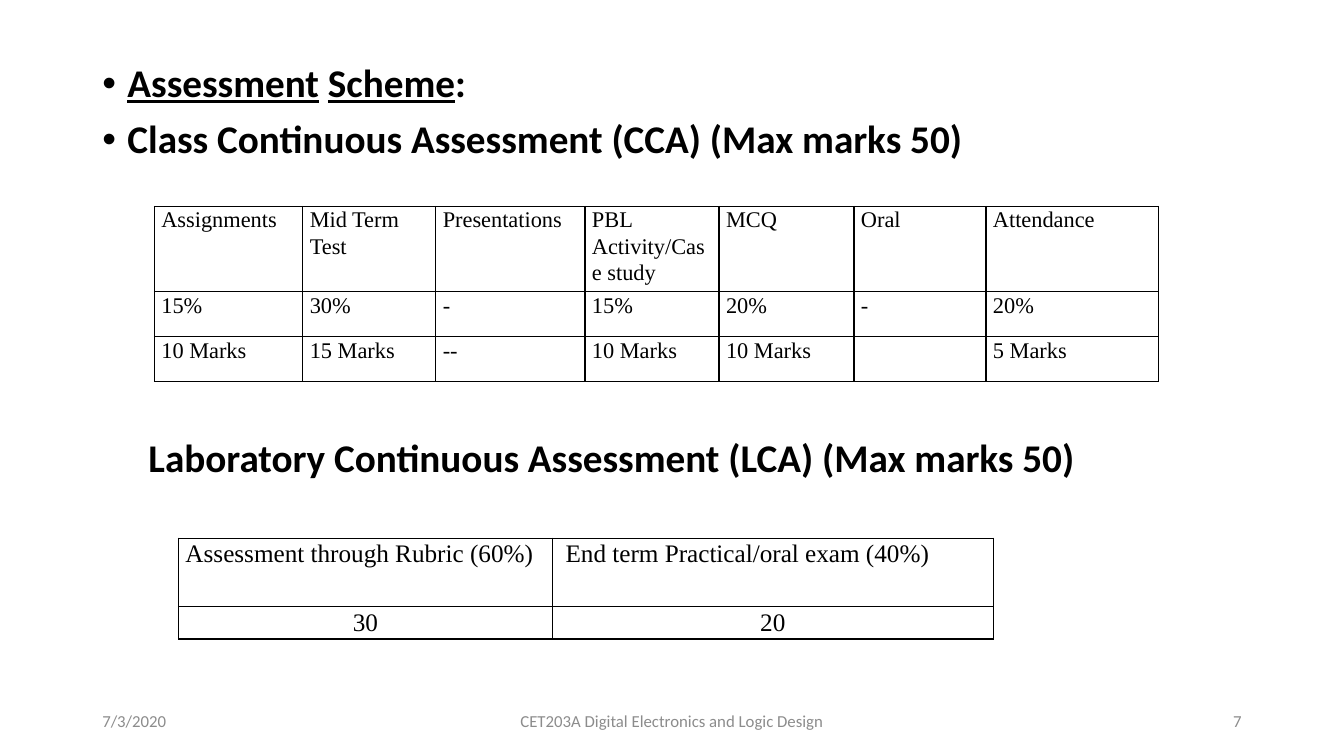
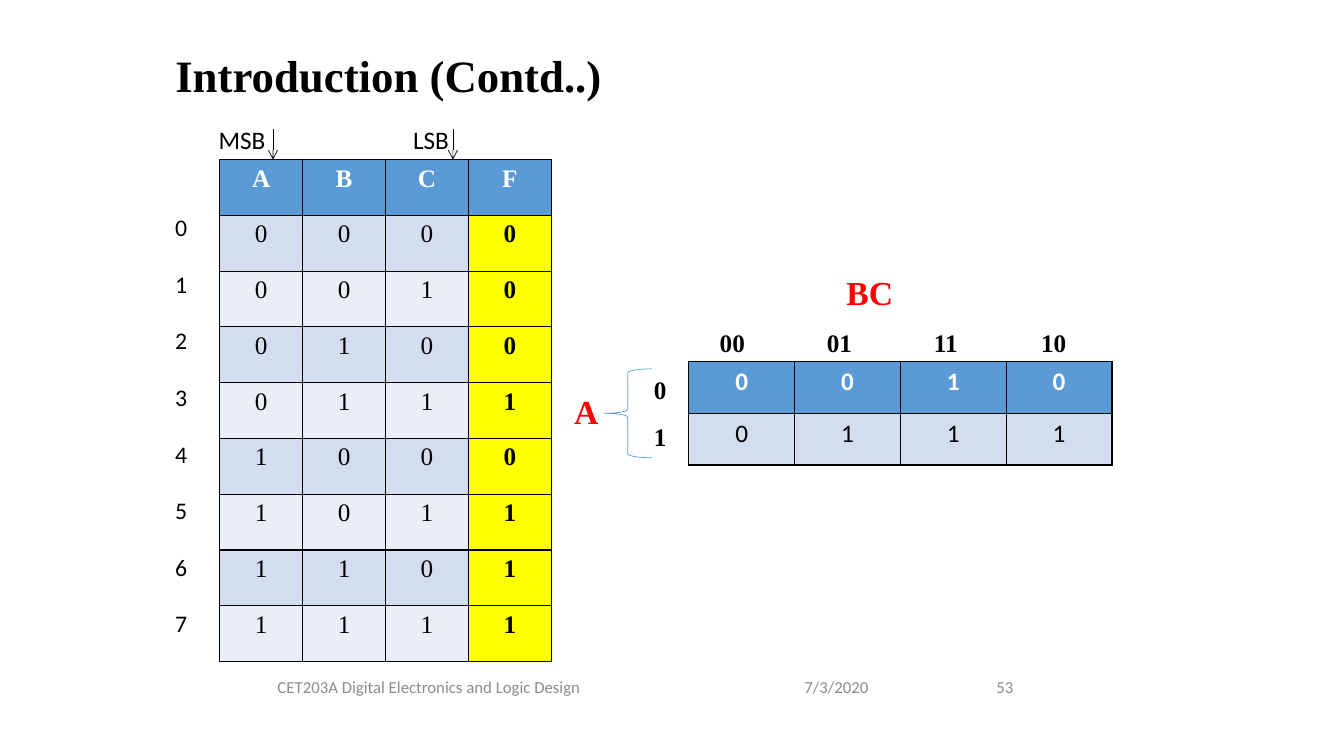
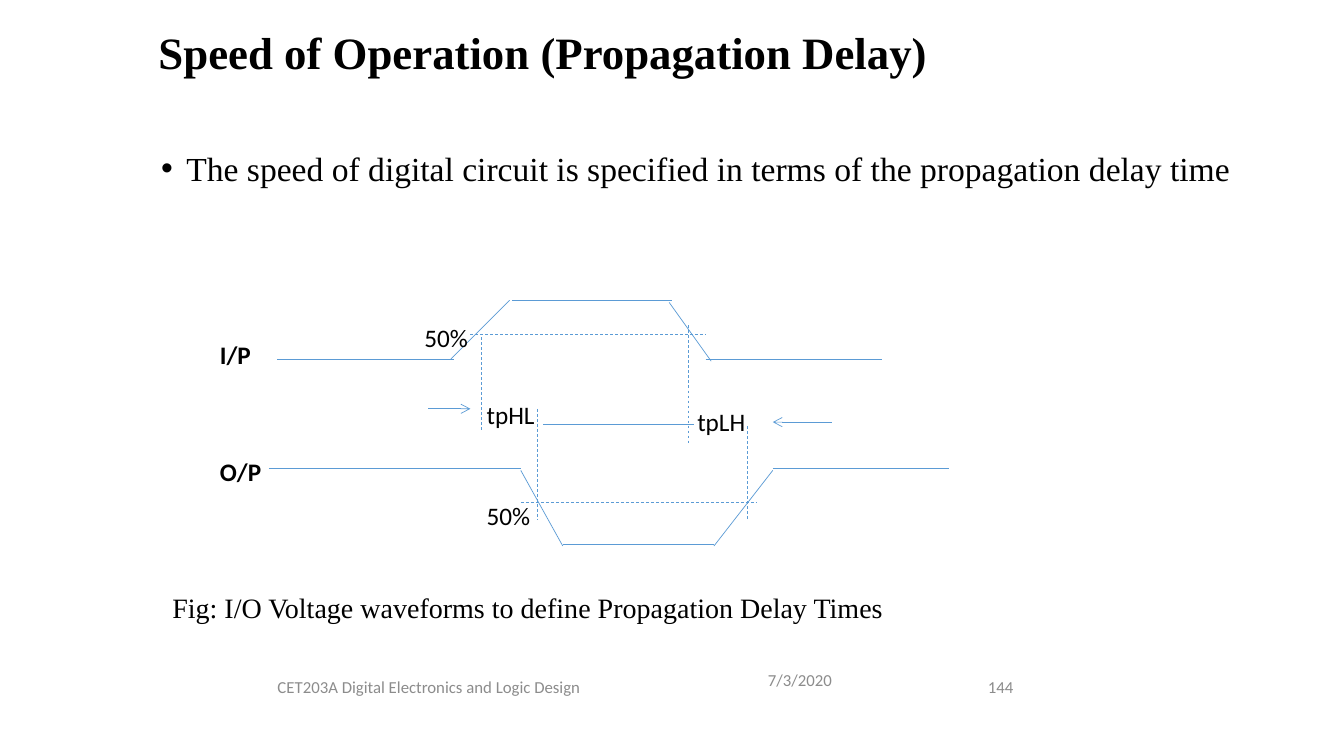
from itertools import product

from lxml.etree import SubElement
from pptx import Presentation
from pptx.dml.color import RGBColor
from pptx.enum.dml import MSO_LINE
from pptx.enum.shapes import MSO_CONNECTOR, MSO_SHAPE
from pptx.enum.text import MSO_ANCHOR, MSO_AUTO_SIZE, PP_ALIGN
from pptx.oxml.ns import qn
from pptx.util import Pt

BLACK = RGBColor(0x00, 0x00, 0x00)
WHITE = RGBColor(0xFF, 0xFF, 0xFF)
GREY = RGBColor(0x8C, 0x8C, 0x8C)
RED = RGBColor(0xFF, 0x00, 0x00)
YELLOW = RGBColor(0xFF, 0xFF, 0x00)
BLUE = RGBColor(0x5B, 0x9B, 0xD5)
BAND_DARK = RGBColor(0xD2, 0xDE, 0xEF)
BAND_LIGHT = RGBColor(0xEA, 0xEF, 0xF7)

SANS = "Calibri"
SERIF = "Times New Roman"
COURSE = "CET203A Digital Electronics and Logic Design"
DATE = "7/3/2020"
TITLE_ONLY, BLANK = 5, 6


class Deck:
    """Holds the shared style and the slide being filled; lengths are points."""

    def __init__(self):
        self.presentation = Presentation()
        self.presentation.slide_width = Pt(960)
        self.presentation.slide_height = Pt(540)
        self.slide = None

    def new_slide(self, layout):
        layouts = self.presentation.slide_layouts
        self.slide = self.presentation.slides.add_slide(layouts[layout])

    def style(self, paragraph, size, font=SANS, color=BLACK, bold=False,
              align=PP_ALIGN.LEFT):
        paragraph.alignment = align
        paragraph.font.size = Pt(size)
        paragraph.font.name = font
        paragraph.font.bold = bold
        paragraph.font.color.rgb = color

    def title(self, text, left, top, width, height):
        heading = self.slide.shapes.title
        heading.left, heading.top = Pt(left), Pt(top)
        heading.width, heading.height = Pt(width), Pt(height)
        frame = heading.text_frame
        frame.text = text
        frame.word_wrap = True
        frame.auto_size = MSO_AUTO_SIZE.NONE
        frame.vertical_anchor = MSO_ANCHOR.MIDDLE
        frame.paragraphs[0].line_spacing = 0.9
        self.style(frame.paragraphs[0], 32, SERIF, bold=True)

    def frame(self, left, top, width, height):
        box = self.slide.shapes.add_textbox(
            Pt(left), Pt(top), Pt(width), Pt(height))
        box.text_frame.word_wrap = True
        return box.text_frame

    def label(self, text, left, top, width=60, height=29, size=18, **style):
        frame = self.frame(left, top, width, height)
        frame.text = text
        for paragraph in frame.paragraphs:
            self.style(paragraph, size, **style)
        return frame

    def bullets(self, texts, left, top, width, height, size, **style):
        frame = self.frame(left, top, width, height)
        frame.text = "\n".join(texts)
        for i, paragraph in enumerate(frame.paragraphs):
            properties = paragraph._p.get_or_add_pPr()
            properties.set("marL", str(Pt(18)))
            properties.set("indent", str(Pt(-18)))
            SubElement(properties, qn("a:buFont")).set("typeface", "Arial")
            SubElement(properties, qn("a:buChar")).set("char", "•")
            paragraph.line_spacing = 0.9
            if i:
                paragraph.space_before = Pt(10)
            self.style(paragraph, size, **style)
        return frame.paragraphs

    def footer(self, number, date_at, course_at, number_at):
        """Each place is (left, top, width)."""
        for text, place, align in ((DATE, date_at, PP_ALIGN.LEFT),
                                   (COURSE, course_at, PP_ALIGN.CENTER),
                                   (number, number_at, PP_ALIGN.RIGHT)):
            frame = self.label(text, *place, size=12, color=GREY, align=align)
            frame.vertical_anchor = MSO_ANCHOR.MIDDLE

    def table(self, rows, left, top, widths, heights, size, cell_look,
              font=SERIF, align=PP_ALIGN.LEFT, margins=(5, 0), spacing=None):
        """cell_look(row, column) gives fill, text colour and bold."""
        table = self.slide.shapes.add_table(
            len(rows), len(widths), Pt(left), Pt(top),
            Pt(sum(widths)), Pt(sum(heights))).table
        table.first_row = table.horz_banding = False
        for column, width in zip(table.columns, widths):
            column.width = Pt(width)
        for row, height in zip(table.rows, heights):
            row.height = Pt(height)
        for r, c in product(range(len(rows)), range(len(widths))):
            cell = table.cell(r, c)
            fill, color, bold = cell_look(r, c)
            self.borders(cell)
            if fill is None:
                cell.fill.background()
            else:
                cell.fill.solid()
                cell.fill.fore_color.rgb = fill
            cell.margin_left = cell.margin_right = Pt(margins[0])
            cell.margin_top = cell.margin_bottom = Pt(margins[1])
            cell.text = rows[r][c]
            paragraph = cell.text_frame.paragraphs[0]
            if spacing:
                paragraph.line_spacing = spacing
                paragraph.space_after = Pt(8)
            self.style(paragraph, size, font, color, bold, align)
        return table

    def borders(self, cell):
        properties = cell._tc.get_or_add_tcPr()
        for side in ("lnL", "lnR", "lnT", "lnB"):
            edge = SubElement(properties, qn(f"a:{side}"), w=str(Pt(1)))
            fill = SubElement(edge, qn("a:solidFill"))
            SubElement(fill, qn("a:srgbClr"), val=str(BLACK))

    def line(self, x1, y1, x2, y2, color=BLUE, dashed=False, arrow=False):
        connector = self.slide.shapes.add_connector(
            MSO_CONNECTOR.STRAIGHT, Pt(x1), Pt(y1), Pt(x2), Pt(y2))
        connector.line.color.rgb = color
        connector.line.width = Pt(0.5)
        if dashed:
            connector.line.dash_style = MSO_LINE.DASH
        if arrow:
            outline = connector.line._get_or_add_ln()
            SubElement(outline, qn("a:tailEnd"), type="arrow")
        SubElement(connector._element.spPr, qn("a:effectLst"))

    def brace(self, left, top, width, height):
        brace = self.slide.shapes.add_shape(
            MSO_SHAPE.LEFT_BRACE, Pt(left), Pt(top), Pt(width), Pt(height))
        brace.shadow.inherit = False
        brace.fill.background()
        brace.line.color.rgb = BLUE
        brace.line.width = Pt(0.5)


def plain_look(row, column):
    return None, BLACK, False


def banded_look(row, column):
    if row == 0:
        return BLUE, WHITE, True
    return (BAND_DARK if row % 2 else BAND_LIGHT), BLACK, False


def truth_look(row, column):
    if row and column == 3:
        return YELLOW, BLACK, True
    return banded_look(row, column)


def majority(bits):
    return "1" if bits.count("1") >= 2 else "0"


def assessment_slide(deck):
    deck.new_slide(BLANK)
    scheme, _ = deck.bullets(
        ["", "Class Continuous Assessment (CCA) (Max marks 50)"],
        66, 42, 828, 100, size=28, bold=True)
    for text, underlined in (("Assessment", True), (" ", False),
                             ("Scheme", True), (":", False)):
        run = scheme.add_run()
        run.text = text
        run.font.underline = underlined

    # Class marks
    class_marks = [
        ["Assignments", "Mid Term Test", "Presentations",
         "PBL Activity/Case study", "MCQ", "Oral", "Attendance"],
        ["15%", "30%", "-", "15%", "20%", "-", "20%"],
        ["10 Marks", "15 Marks", "--", "10 Marks", "10 Marks", "", "5 Marks"],
    ]
    deck.table(class_marks, 110.3, 147.5, [106, 95, 106.6, 95.8, 96.4, 94.3, 123.2],
               [58, 32, 32], 16, plain_look, spacing=1.06)

    # Laboratory marks
    deck.label("Laboratory Continuous Assessment (LCA) (Max marks 50)",
               99, 306, 700, 41, size=28, bold=True)
    lab_marks = [
        ["Assessment through Rubric (60%)", " End term Practical/oral exam (40%)"],
        ["30", "20"],
    ]
    lab = deck.table(lab_marks, 127.5, 384.5, [267, 315], [49, 23], 18,
                     plain_look, spacing=1.06)
    for cell in lab.rows[1].cells:
        cell.text_frame.paragraphs[0].alignment = PP_ALIGN.CENTER

    deck.footer("7", (66, 500.5, 216), (318, 500.5, 324), (678, 500.5, 216))


def truth_table_slide(deck):
    deck.new_slide(TITLE_ONLY)
    deck.title("Introduction (Contd..)", 118, 25, 792, 61)

    # Truth table
    inputs = ["".join(bits) for bits in product("01", repeat=3)]
    truth = [list("ABCF")] + [list(bits + majority(bits)) for bits in inputs]
    deck.table(truth, 157, 114, [59.2] * 4, [39.85] * 9, 18, truth_look,
               align=PP_ALIGN.CENTER, margins=(9.4, 3.6))
    for text, left, arrow_x in (("MSB", 149, 195), ("LSB", 288, 323.5)):
        deck.label(text, left, 85)
        deck.line(arrow_x, 92, arrow_x, 114, color=BLACK, arrow=True)
    row_numbers = deck.label("\n".join(str(i) for i in range(len(inputs))),
                             118, 148.5, 30, 360, size=17)
    for paragraph in row_numbers.paragraphs[1:]:
        paragraph.space_before = Pt(20)

    # Karnaugh map
    pairs = ["00", "01", "11", "10"]
    cells = [[majority(a + bc) for bc in pairs] for a in "01"]
    deck.table(cells, 492, 258.5, [75.6] * 4, [36.8] * 2, 18, banded_look,
               font=SANS, align=PP_ALIGN.CENTER, margins=(9.4, 3.6))
    for i, bc in enumerate(pairs):
        deck.label(bc, 507 + 76.5 * i, 230.5, font=SERIF, bold=True)
    for i, a in enumerate("01"):
        deck.label(a, 460, 263.5 + 34 * i, 30, font=SERIF, bold=True)
    deck.brace(431.5, 263.5, 34, 63.5)
    for text, left, top in (("A", 403, 276), ("BC", 597.5, 191)):
        deck.label(text, left, top, height=36, size=24, font=SERIF,
                   color=RED, bold=True)

    deck.footer("53", (567.5, 476, 72), (64, 476, 485), (677, 476, 54))


def delay_slide(deck):
    deck.new_slide(TITLE_ONLY)
    deck.title("Speed of Operation (Propagation Delay)", 106, 0, 792, 78)
    deck.bullets(["The speed of digital circuit is specified in terms of "
                  "the propagation delay time"], 95, 105, 804, 60, size=24,
                 font=SERIF, align=PP_ALIGN.CENTER)

    # Input wave, output wave and the link between the delays
    waves = [
        (198, 256.5, 324, 256.5), (322, 256.5, 364, 214.5),
        (366, 214.5, 480, 214.5), (478, 216, 508, 258),
        (504, 256.5, 630, 256.5),
        (192, 334.5, 372, 334.5), (372, 336, 402, 390),
        (402, 388.5, 510, 388.5), (510, 390, 552, 336),
        (552, 334.5, 678, 334.5),
        (388, 303, 496, 303),
    ]
    for ends in waves:
        deck.line(*ends)

    # Half-level and timing guides
    guides = [
        (336, 238.5, 504, 238.5), (372, 358.5, 540, 358.5),
        (344, 241, 344, 307.5), (492, 232.5, 492, 317),
        (384, 292, 384, 371), (534, 304.5, 534, 371),
    ]
    for ends in guides:
        deck.line(*ends, dashed=True)
    deck.line(306, 292, 336, 292, arrow=True)
    deck.line(594, 301.5, 552, 301.5, arrow=True)

    # Labels
    for text, left, top in (("tpHL", 340.5, 281.5), ("tpLH", 491, 286.5),
                            ("50%", 340.5, 353.5), ("50%", 296, 227)):
        deck.label(text, left, top)
    for text, top in (("I/P", 238.5), ("O/P", 322.5)):
        deck.label(text, 150, top, bold=True)
    deck.label("Fig: I/O Voltage waveforms to define Propagation Delay Times",
               116, 418.5, 780, 32, size=20, font=SERIF)

    deck.footer("144", (541.5, 471, 72), (64, 476, 485), (677, 476, 54))


def main():
    deck = Deck()
    assessment_slide(deck)
    truth_table_slide(deck)
    delay_slide(deck)
    deck.presentation.save("out.pptx")


if __name__ == "__main__":
    main()
